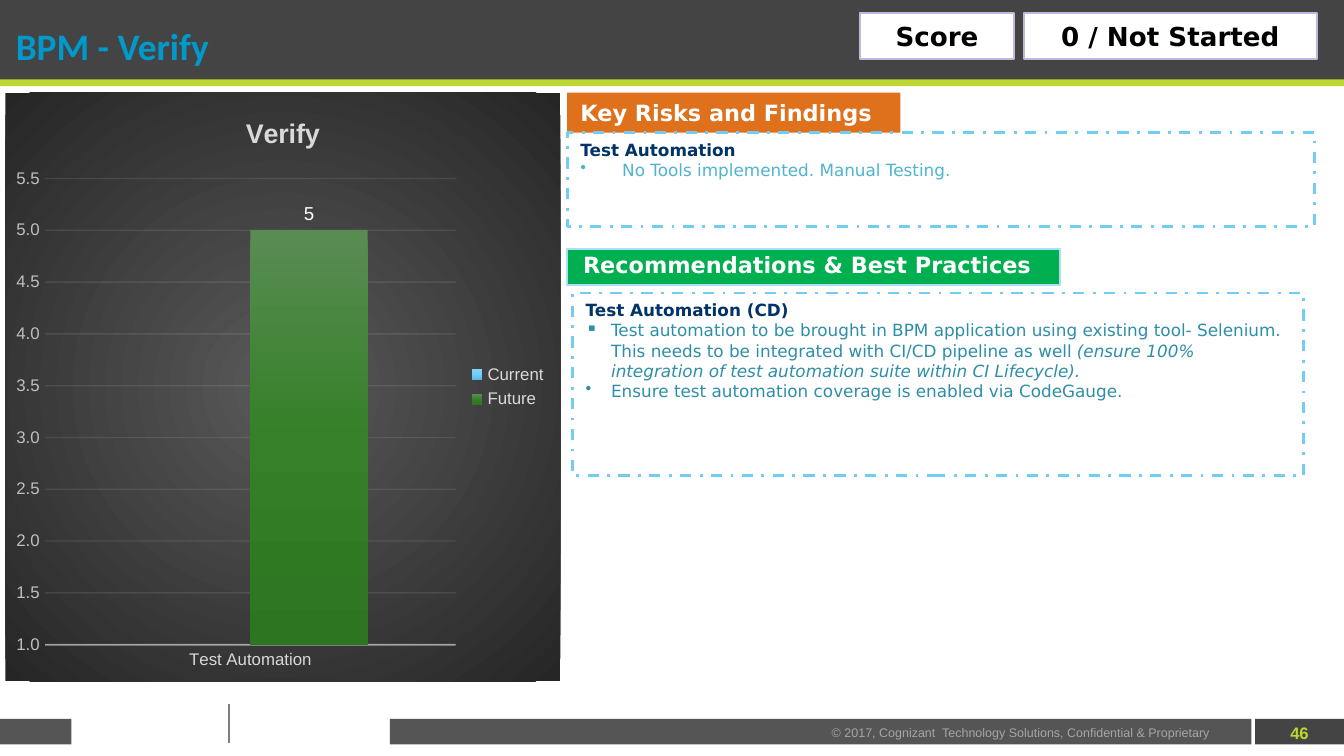
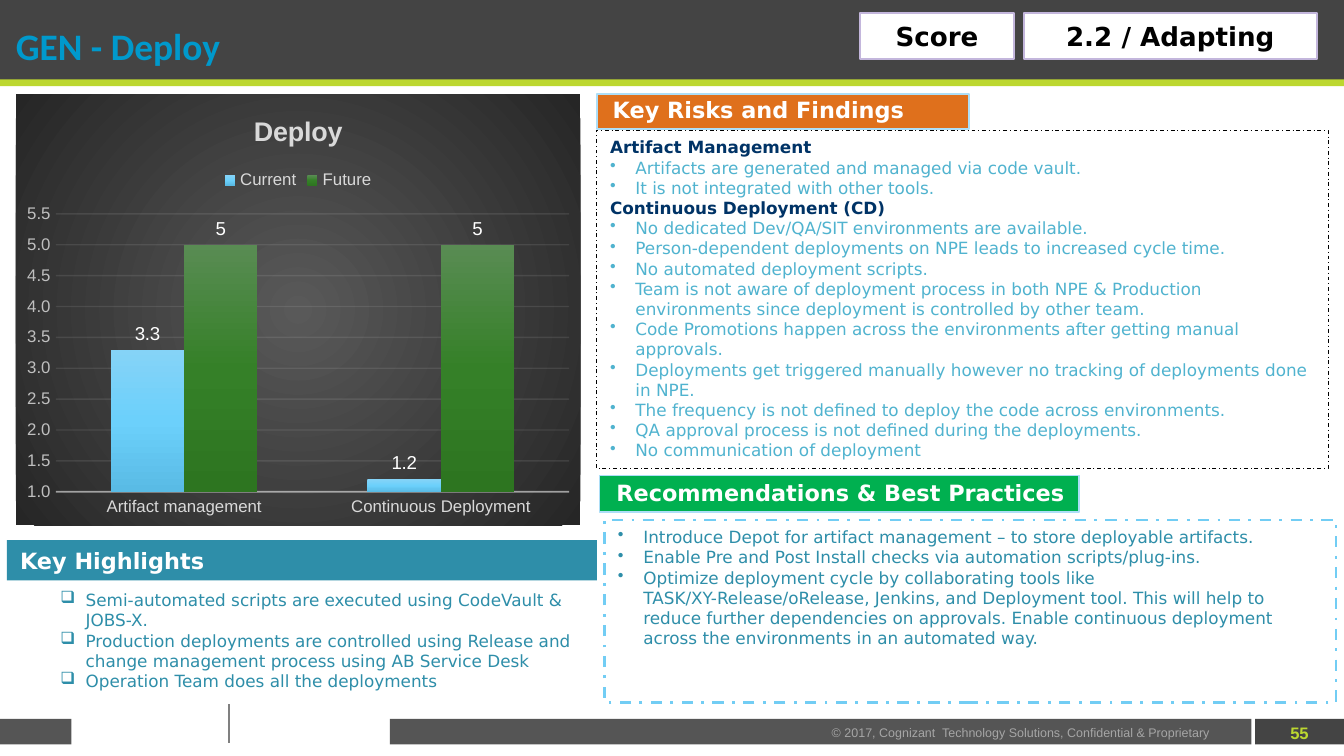
from lxml import etree
from pptx import Presentation
from pptx.chart.data import CategoryChartData
from pptx.dml.color import RGBColor
from pptx.enum.chart import XL_CHART_TYPE, XL_LABEL_POSITION, XL_LEGEND_POSITION, XL_TICK_MARK
from pptx.enum.dml import MSO_LINE
from pptx.enum.shapes import MSO_CONNECTOR, MSO_SHAPE
from pptx.enum.text import MSO_ANCHOR, PP_ALIGN
from pptx.oxml.ns import qn
from pptx.util import Cm, Pt

RECTANGLE = MSO_SHAPE.RECTANGLE
DASH_DOT = MSO_LINE.DASH_DOT
CENTER = PP_ALIGN.CENTER
LEFT = PP_ALIGN.LEFT
TOP = MSO_ANCHOR.TOP
MIDDLE = MSO_ANCHOR.MIDDLE
NO_TICKS = XL_TICK_MARK.NONE

WHITE = RGBColor(0xFF, 0xFF, 0xFF)
BLACK = RGBColor(0x00, 0x00, 0x00)
CHARCOAL = RGBColor(0x44, 0x44, 0x44)
FOOTER_GRAY = RGBColor(0x55, 0x55, 0x55)
DIVIDER_GRAY = RGBColor(0x80, 0x80, 0x80)
COPYRIGHT_GRAY = RGBColor(0xA6, 0xA6, 0xA6)
LIME = RGBColor(0xBC, 0xD7, 0x30)
TITLE_BLUE = RGBColor(0x00, 0x99, 0xCC)
NAVY = RGBColor(0x00, 0x33, 0x66)
LIGHT_TEAL = RGBColor(0x50, 0xB3, 0xCF)
TEAL = RGBColor(0x2E, 0x8E, 0xA9)
ORANGE = RGBColor(0xDF, 0x70, 0x1C)
GREEN = RGBColor(0x00, 0xB0, 0x50)
LILAC = RGBColor(0xC3, 0xB6, 0xDC)
PALE_BLUE = RGBColor(0xAD, 0xDE, 0xF7)
SKY_BLUE = RGBColor(0x72, 0xCD, 0xF4)
CHART_LINE = RGBColor(0xF2, 0xF2, 0xF2)
CHART_TEXT = RGBColor(0xD9, 0xD9, 0xD9)
SCALE_TEXT = RGBColor(0xBF, 0xBF, 0xBF)
PANEL_STOPS = {0: RGBColor(0x59, 0x59, 0x59), 100: RGBColor(0x26, 0x26, 0x26)}
SERIES_STOPS = [
    {0: RGBColor(0x85, 0xD3, 0xF7), 50: RGBColor(0x6C, 0xD0, 0xFB), 100: RGBColor(0x59, 0xBB, 0xE5)},
    {0: RGBColor(0x59, 0x8C, 0x53), 50: RGBColor(0x35, 0x80, 0x28), 100: RGBColor(0x2D, 0x75, 0x20)},
]


def add_text(slide, frame, *paragraphs, size=9, color=NAVY, bold=True, font="DejaVu Sans",
             body_color=TEAL, indent=0.48, fill=None, line=None, line_width=1, dash=None,
             align=LEFT, anchor=TOP, wrap=True, margins=(0.25, 0.13)):
    """Add a box; a string is a plain paragraph, a tuple is (bullet, text[, italic text])."""
    position = [Cm(value) for value in frame]
    if fill is None and line is None:
        shape = slide.shapes.add_textbox(*position)
    else:
        shape = slide.shapes.add_shape(RECTANGLE, *position)
        shape.shadow.inherit = False
        if fill is None:
            shape.fill.background()
        else:
            shape.fill.solid()
            shape.fill.fore_color.rgb = fill
        if line is None:
            shape.line.fill.background()
        else:
            shape.line.color.rgb = line
            shape.line.width = Pt(line_width)
            if dash is not None:
                shape.line.dash_style = dash
    text_frame = shape.text_frame
    text_frame.word_wrap = wrap
    text_frame.vertical_anchor = anchor
    text_frame.margin_left = text_frame.margin_right = Cm(margins[0])
    text_frame.margin_top = text_frame.margin_bottom = Cm(margins[1])
    for index, content in enumerate(paragraphs):
        paragraph = text_frame.add_paragraph() if index else text_frame.paragraphs[0]
        paragraph.alignment = align
        bulleted = isinstance(content, tuple)
        texts = content[1:] if bulleted else (content,)
        if bulleted:
            properties = paragraph._p.get_or_add_pPr()
            properties.set("marL", str(Cm(indent)))
            properties.set("indent", str(-Cm(indent)))
            etree.SubElement(properties, qn("a:buChar")).set("char", content[0])
        for run_index, text in enumerate(texts):
            run = paragraph.add_run()
            run.text = text
            run.font.name = font
            run.font.size = Pt(size)
            run.font.bold = bold and not bulleted
            run.font.italic = run_index > 0
            run.font.color.rgb = body_color if bulleted else color


def add_gradient(properties, stops, radial=False):
    """Put a gradient fill first in a chart part's shape properties."""
    gradient = etree.Element(qn("a:gradFill"))
    stop_list = etree.SubElement(gradient, qn("a:gsLst"))
    for percent, color in stops.items():
        stop = etree.SubElement(stop_list, qn("a:gs"), pos=str(percent * 1000))
        etree.SubElement(stop, qn("a:srgbClr"), val=str(color))
    if radial:
        direction = etree.SubElement(gradient, qn("a:path"), path="circle")
        etree.SubElement(direction, qn("a:fillToRect"), l="50000", t="50000", r="50000", b="50000")
    else:
        etree.SubElement(gradient, qn("a:lin"), ang="5400000", scaled="0")
    properties.insert(0, gradient)


presentation = Presentation()
presentation.slide_width = Cm(25.4)
presentation.slide_height = Cm(14.29)
blank_layout = presentation.slide_layouts[6]

BANDS = [
    ((23.72, 13.59, 1.7, 0.48), CHARCOAL),
    ((7.37, 13.59, 16.28, 0.48), FOOTER_GRAY),
    ((0, 13.59, 1.35, 0.48), FOOTER_GRAY),
    ((0, 0, 25.43, 1.52), CHARCOAL),
    ((0, 1.5, 25.43, 0.13), LIME),
    ((4.57, 12.88, 2.46, 1.14), WHITE),
]
# title, page number, score, chart title, chart frame, legend position, {category: (current, future)}
PAGES = [
    ("BPM - Verify", "46", "0 / Not Started", "Verify", (0.1, 1.75, 10.49, 11.13),
     XL_LEGEND_POSITION.RIGHT, {"Test Automation": (0, 5)}),
    ("GEN - Deploy", "55", "2.2 / Adapting", "Deploy", (0.3, 1.78, 10.67, 8.15),
     XL_LEGEND_POSITION.TOP,
     {"Artifact management": (3.3, 5), "Continuous Deployment": (1.2, 5)}),
]
SCORE_STYLE = dict(size=14, color=BLACK, fill=WHITE, line=LILAC, align=CENTER, anchor=MIDDLE)

for title, number, score, chart_title, chart_frame, legend_position, scores in PAGES:
    slide = presentation.slides.add_slide(blank_layout)
    for frame, color in BANDS:
        add_text(slide, frame, fill=color)
    add_text(slide, (24, 13.56, 1.12, 0.58), number, size=8.9, color=LIME, font="Arial",
             align=CENTER, anchor=MIDDLE, wrap=False)
    add_text(slide, (15.47, 13.61, 7.77, 0.46),
             "© 2017, Cognizant  Technology Solutions, Confidential & Proprietary",
             size=6.7, color=COPYRIGHT_GRAY, bold=False, font="Arial", anchor=MIDDLE)
    divider = slide.shapes.add_connector(MSO_CONNECTOR.STRAIGHT, Cm(4.32), Cm(13.31), Cm(4.32), Cm(14.05))
    divider.line.color.rgb = DIVIDER_GRAY
    divider.line.width = Pt(1)
    etree.SubElement(divider.element.xpath("p:spPr")[0], qn("a:effectLst"))
    add_text(slide, (0.3, 0.23, 23.52, 1.27), title, size=20, color=TITLE_BLUE, font="Calibri",
             anchor=MIDDLE, margins=(0, 0.18))
    add_text(slide, (16.26, 0.25, 2.9, 0.86), "Score", **SCORE_STYLE)
    add_text(slide, (19.35, 0.25, 5.54, 0.86), score, **SCORE_STYLE)

    chart_data = CategoryChartData()
    chart_data.categories = list(scores)
    for name, values in zip(("Current", "Future"), zip(*scores.values())):
        chart_data.add_series(name, values)
    chart = slide.shapes.add_chart(XL_CHART_TYPE.COLUMN_CLUSTERED,
                                   *[Cm(value) for value in chart_frame], chart_data).chart
    chart.font.name = "Arial"
    chart.font.size = Pt(10)
    chart.font.color.rgb = BLACK
    panel = etree.Element(qn("c:spPr"))
    add_gradient(panel, PANEL_STOPS, radial=True)
    etree.SubElement(etree.SubElement(panel, qn("a:ln")), qn("a:noFill"))
    chart.element.find(qn("c:chart")).addnext(panel)

    chart.has_title = True
    chart.chart_title.text_frame.text = chart_title
    chart.chart_title.include_in_layout = False
    title_font = chart.chart_title.text_frame.paragraphs[0].runs[0].font
    title_font.bold = True
    chart.has_legend = True
    chart.legend.position = legend_position
    chart.legend.include_in_layout = False

    value_axis = chart.value_axis
    value_axis.minimum_scale = 1
    value_axis.maximum_scale = 5.5
    value_axis.major_unit = 0.5
    value_axis.has_major_gridlines = True
    value_axis.tick_labels.number_format = "0.0"
    value_axis.tick_labels.number_format_is_linked = False
    value_axis.format.line.fill.background()
    category_axis = chart.category_axis
    for axis in (category_axis, value_axis):
        axis.major_tick_mark = axis.minor_tick_mark = NO_TICKS
    for font, size, color in ((title_font, 14.4, CHART_TEXT), (chart.legend.font, 9, CHART_TEXT),
                              (category_axis.tick_labels.font, 9, CHART_TEXT),
                              (value_axis.tick_labels.font, 9, SCALE_TEXT)):
        font.name = "Arial"
        font.size = Pt(size)
        font.color.rgb = color
    for line, width, query, opacity in (
            (category_axis.format.line, 1, ".//c:catAx/c:spPr//a:srgbClr", 54),
            (value_axis.major_gridlines.format.line, 0.75, ".//c:majorGridlines//a:srgbClr", 10)):
        line.color.rgb = CHART_LINE
        line.width = Pt(width)
        etree.SubElement(chart.element.xpath(query)[0], qn("a:alpha"), val=str(opacity * 1000))

    plot = chart.plots[0]
    plot.gap_width = 150
    plot.overlap = 0
    plot.vary_by_categories = False
    for series, stops, number_format in zip(plot.series, SERIES_STOPS, ("0.0", "General")):
        series.invert_if_negative = False
        series.format.line.fill.background()
        add_gradient(series._element.get_or_add_spPr(), stops)
        labels = series.data_labels
        labels.show_value = True
        labels.number_format = number_format
        labels.number_format_is_linked = False
        labels.position = XL_LABEL_POSITION.OUTSIDE_END
        labels.font.name = "Arial"
        labels.font.size = Pt(10)
        labels.font.color.rgb = WHITE

verify_slide, deploy_slide = presentation.slides
BANNER = dict(size=12, color=WHITE)
BLUE_DASHES = dict(line=SKY_BLUE, line_width=1.5, dash=DASH_DOT)
RISKS = "Key Risks and Findings"
RECOMMENDATIONS = "Recommendations & Best Practices"

# Verify
add_text(verify_slide, (10.72, 1.75, 6.3, 0.76), RISKS, fill=ORANGE, **BANNER)
add_text(verify_slide, (10.72, 2.51, 14.12, 1.78), "Test Automation",
         ("•", "No Tools implemented. Manual Testing."),
         body_color=LIGHT_TEAL, indent=0.79, **BLUE_DASHES)
add_text(verify_slide, (10.72, 4.7, 9.32, 0.69), fill=GREEN, line=PALE_BLUE)
add_text(verify_slide, (10.77, 4.62, 9.02, 0.76), RECOMMENDATIONS, wrap=False, **BANNER)
add_text(verify_slide, (10.82, 5.54, 13.82, 3.45), "Test Automation (CD)",
         ("▪", "Test automation to be brought in BPM application using existing tool- Selenium. "
               "This needs to be integrated with CI/CD pipeline as well ",
          "(ensure 100% integration of test automation suite within CI Lifecycle)."),
         ("•", "Ensure test automation coverage is enabled via CodeGauge."),
         fill=WHITE, **BLUE_DASHES)

# Deploy
add_text(deploy_slide, (11.28, 2.46, 13.82, 6.4), "Artifact Management",
         ("•", "Artifacts are generated and managed via code vault."),
         ("•", "It is not integrated with other tools."),
         "Continuous Deployment (CD)",
         ("•", "No dedicated Dev/QA/SIT environments are available."),
         ("•", "Person-dependent deployments on NPE leads to increased cycle time."),
         ("•", "No automated deployment scripts."),
         ("•", "Team is not aware of deployment process in both NPE & Production environments "
               "since deployment is controlled by other team."),
         ("•", "Code Promotions happen across the environments after getting manual approvals."),
         ("•", "Deployments get triggered manually however no tracking of deployments done in NPE."),
         ("•", "The frequency is not defined to deploy the code across environments."),
         ("•", "QA approval process is not defined during the deployments."),
         ("•", "No communication of deployment"),
         body_color=LIGHT_TEAL, line=BLACK, line_width=0.5, dash=DASH_DOT)
add_text(deploy_slide, (11.28, 1.78, 7.04, 0.66), fill=ORANGE, line=PALE_BLUE)
add_text(deploy_slide, (11.33, 1.68, 6.02, 0.76), RISKS, wrap=False, **BANNER)
add_text(deploy_slide, (0.89, 11.02, 10.39, 2.57),
         ("❑", "Semi-automated scripts are executed using CodeVault & JOBS-X."),
         ("❑", "Production deployments are controlled using Release and change management "
               "process using AB Service Desk"),
         ("❑", "Operation Team does all the deployments"))
add_text(deploy_slide, (0.13, 10.21, 11.15, 0.76), "Key Highlights", fill=TEAL, **BANNER)
add_text(deploy_slide, (11.33, 8.99, 9.07, 0.69), fill=GREEN, line=PALE_BLUE)
add_text(deploy_slide, (11.4, 8.92, 9.02, 0.76), RECOMMENDATIONS, wrap=False, **BANNER)
add_text(deploy_slide, (11.43, 9.83, 13.82, 3.45),
         ("•", "Introduce Depot for artifact management – to store deployable artifacts."),
         ("•", "Enable Pre and Post Install checks via automation scripts/plug-ins."),
         ("•", "Optimize deployment cycle by collaborating tools like TASK/XY-Release/oRelease, "
               "Jenkins, and Deployment tool. This will help to reduce further dependencies on "
               "approvals. Enable continuous deployment across the environments in an automated way."),
         fill=WHITE, **BLUE_DASHES)

presentation.save("out.pptx")
